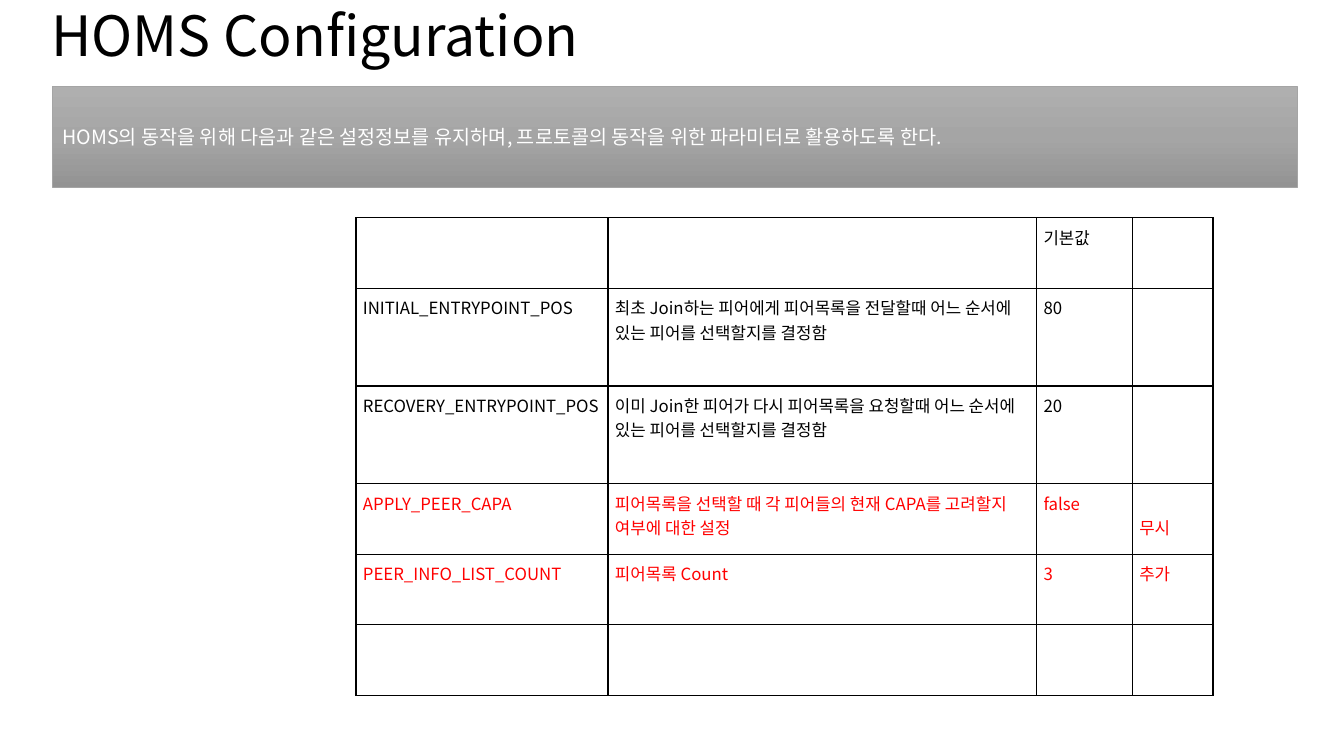
import copy

import pptx
import pptx.util
import pptx.dml.color
import pptx.enum.shapes
import pptx.enum.text
import pptx.oxml
import pptx.oxml.ns

Inches = pptx.util.Inches
Pt = pptx.util.Pt
RGBColor = pptx.dml.color.RGBColor
Align = pptx.enum.text.PP_ALIGN
Anchor = pptx.enum.text.MSO_ANCHOR
qn = pptx.oxml.ns.qn

FONT = "Noto Sans CJK KR"
BLACK = RGBColor(0x00, 0x00, 0x00)
WHITE = RGBColor(0xFF, 0xFF, 0xFF)
RED = RGBColor(0xFF, 0x00, 0x00)
GREY = RGBColor(0xA5, 0xA5, 0xA5)
LIGHT = RGBColor(0xAF, 0xAF, 0xAF)
DARK = RGBColor(0x93, 0x93, 0x93)

COLS = [2.5, 4.25, 0.95, 0.8]
ROWS = [
    (0.7, BLACK, ["", "", "기본값", ""]),
    (0.97, BLACK, ["INITIAL_ENTRYPOINT_POS",
                   "최초 Join하는 피어에게 피어목록을 전달할때 어느 순서에 있는 피어를 선택할지를 결정함",
                   "80", ""]),
    (0.97, BLACK, ["RECOVERY_ENTRYPOINT_POS",
                   "이미 Join한 피어가 다시 피어목록을 요청할때 어느 순서에 있는 피어를 선택할지를 결정함",
                   "20", ""]),
    (0.7, RED, ["APPLY_PEER_CAPA",
                "피어목록을 선택할 때 각 피어들의 현재 CAPA를 고려할지 여부에 대한 설정",
                "false", "\n무시"]),
    (0.7, RED, ["PEER_INFO_LIST_COUNT", "피어목록 Count", "3", "추가"]),
    (0.7, BLACK, ["", "", "", ""]),
]


class Deck:
    def __init__(self):
        self.prs = pptx.Presentation()
        self.prs.slide_width = Inches(13.33)
        self.prs.slide_height = Inches(7.5)
        self.slide = self.prs.slides.add_slide(self.prs.slide_layouts[5])

    def text(self, frame, text, size, color):
        """Fill the first paragraph; a newline becomes a line break."""
        para = frame.paragraphs[0]
        para.alignment = Align.LEFT
        for i, line in enumerate(text.split("\n")):
            if i:
                para.add_line_break()
            if line:
                run = para.add_run()
                run.text = line
                run.font.size = Pt(size)
                run.font.name = FONT
                run.font.color.rgb = color
                east = pptx.oxml.parse_xml(
                    f'<a:ea {pptx.oxml.ns.nsdecls("a")} typeface="{FONT}"/>')
                run.font._element.find(qn("a:latin")).addnext(east)
        para.font.size = Pt(size)
        return para

    def title(self, text, box):
        shape = self.slide.shapes.title
        shape.left, shape.top, shape.width, shape.height = map(Inches, box)
        frame = shape.text_frame
        frame.auto_size = pptx.enum.text.MSO_AUTO_SIZE.NONE
        frame.vertical_anchor = Anchor.MIDDLE
        self.text(frame, text, 39.6, BLACK).line_spacing = 0.9

    def banner(self, text, box):
        shape = self.slide.shapes.add_shape(
            pptx.enum.shapes.MSO_SHAPE.RECTANGLE, *map(Inches, box))
        shape.shadow.inherit = False
        shape.fill.gradient()
        shape.fill.gradient_angle = 270
        stops = shape._element.spPr.find(".//" + qn("a:gsLst"))
        stops.insert(1, copy.deepcopy(stops[0]))
        shades = zip(shape.fill.gradient_stops, [LIGHT, GREY, DARK])
        for i, (stop, color) in enumerate(shades):
            stop.position = i / 2
            stop.color.rgb = color
        shape.line.color.rgb = GREY
        shape.line.width = Pt(0.5)
        shape.text_frame.word_wrap = True
        shape.text_frame.vertical_anchor = Anchor.MIDDLE
        self.text(shape.text_frame, text, 14, WHITE)

    def border(self, cell):
        props = cell._tc.get_or_add_tcPr()
        for i, side in enumerate("LRTB"):
            props.insert(i, pptx.oxml.parse_xml(
                f'<a:ln{side} {pptx.oxml.ns.nsdecls("a")} w="{Pt(1)}">'
                f'<a:solidFill><a:srgbClr val="{BLACK}"/></a:solidFill>'
                f'</a:ln{side}>'))

    def table(self, left, top, cols, rows):
        high = sum(row[0] for row in rows)
        table = self.slide.shapes.add_table(
            len(rows), len(cols), Inches(left), Inches(top),
            Inches(sum(cols)), Inches(high)).table
        table.first_row = table.horz_banding = False
        for col, width in zip(table.columns, cols):
            col.width = Inches(width)
        for row, (height, color, texts) in zip(table.rows, rows):
            row.height = Inches(height)
            for cell, text in zip(row.cells, texts):
                cell.margin_left = cell.margin_right = Inches(0.07)
                cell.margin_top = cell.margin_bottom = Inches(0.07)
                cell.fill.background()
                self.border(cell)
                self.text(cell.text_frame, text, 12, color)


def main():
    deck = Deck()
    deck.title("HOMS Configuration", (0.41, 0.02, 12.47, 0.72))
    deck.banner("HOMS의 동작을 위해 다음과 같은 설정정보를 유지하며, "
                "프로토콜의 동작을 위한 파라미터로 활용하도록 한다.",
                (0.52, 0.86, 12.35, 1))
    deck.table(3.53, 2.16, COLS, ROWS)
    deck.prs.save("out.pptx")


if __name__ == "__main__":
    main()
